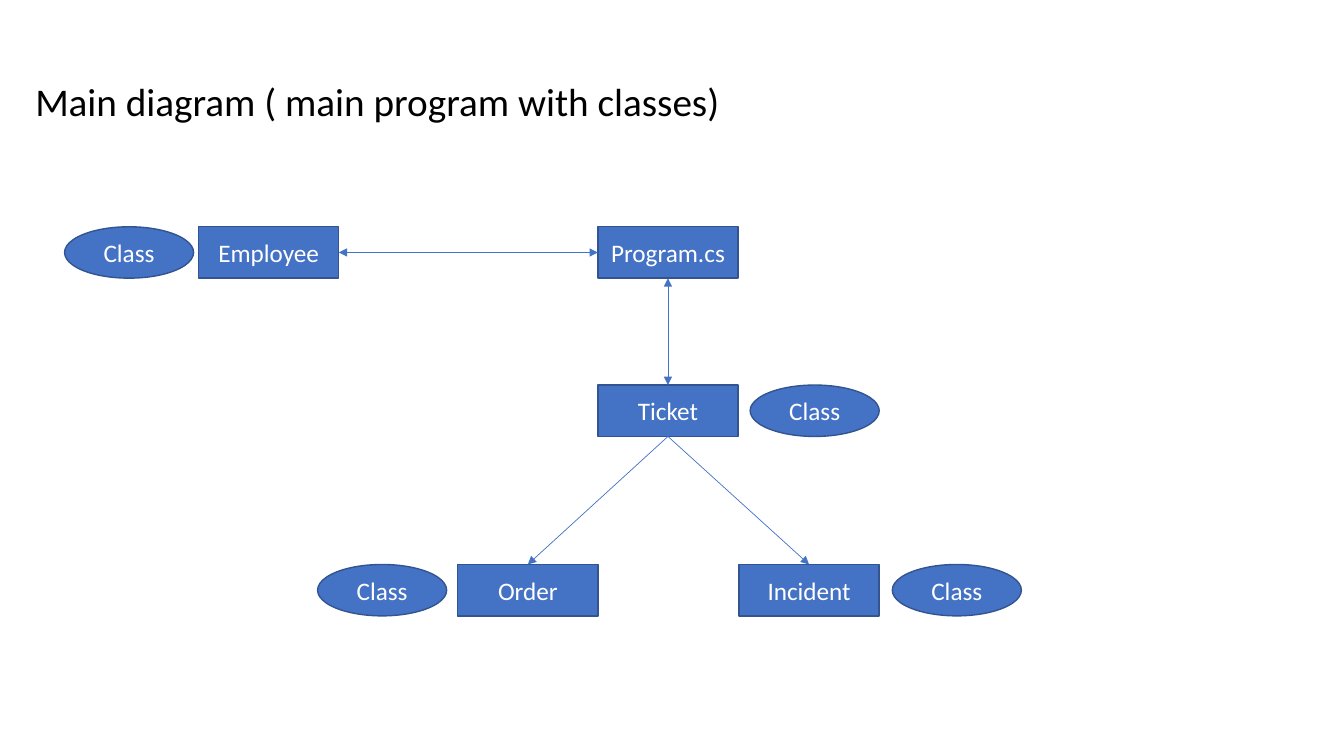
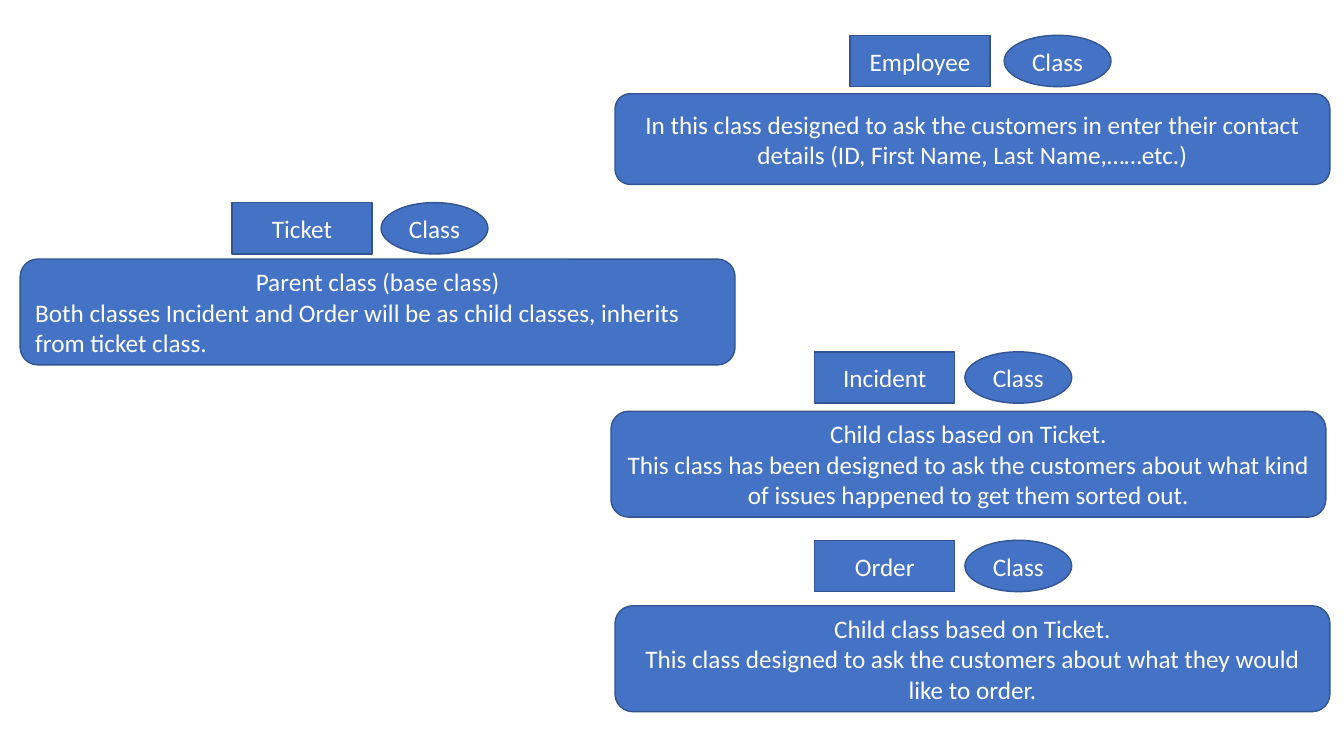
from dataclasses import dataclass

from lxml import etree
from pptx import Presentation
from pptx.dml.color import RGBColor
from pptx.enum.shapes import MSO_CONNECTOR, MSO_SHAPE
from pptx.enum.text import MSO_ANCHOR, PP_ALIGN
from pptx.oxml.ns import qn
from pptx.shapes.autoshape import Shape
from pptx.slide import Slide
from pptx.util import Inches, Pt

RECTANGLE = MSO_SHAPE.RECTANGLE
OVAL = MSO_SHAPE.OVAL
ROUNDED = MSO_SHAPE.ROUNDED_RECTANGLE
STRAIGHT = MSO_CONNECTOR.STRAIGHT
LEFT, CENTER = PP_ALIGN.LEFT, PP_ALIGN.CENTER
MIDDLE = MSO_ANCHOR.MIDDLE

COLORS = {"fill": "4472C4", "outline": "325491", "text": "FFFFFF", "title": "000000"}
FONT = "Calibri"
TITLE_ONLY_LAYOUT, BLANK_LAYOUT = 5, 6
TOP_SIDE, LEFT_SIDE, BOTTOM_SIDE, RIGHT_SIDE = range(4)

BOX_WIDTH, LABEL_HEIGHT = 1.39, 0.51
DIAGRAM_TAG_WIDTH, DETAIL_TAG_WIDTH = 1.28, 1.06
PANEL_WIDTH = 7.09


@dataclass(frozen=True)
class ClassBox:
    """A named box, with the left edge of its "Class" tag if it has one."""
    name: str
    left: float
    top: float
    tag_left: float | None = None


@dataclass(frozen=True)
class Link:
    start: str
    start_side: int
    end: str
    end_side: int
    two_way: bool = False


@dataclass(frozen=True)
class Panel:
    left: float
    top: float
    height: float
    lines: tuple[str, ...]
    last_alignment: PP_ALIGN = CENTER


DIAGRAM_BOXES = (
    ClassBox("Employee", 1.97, 2.25, 0.64),
    ClassBox("Program.cs", 5.93, 2.25),
    ClassBox("Ticket", 5.93, 3.82, 7.44),
    ClassBox("Order", 4.54, 5.6, 3.15),
    ClassBox("Incident", 7.33, 5.6, 8.85),
)

DIAGRAM_LINKS = (
    Link("Program.cs", LEFT_SIDE, "Employee", RIGHT_SIDE, two_way=True),
    Link("Program.cs", BOTTOM_SIDE, "Ticket", TOP_SIDE, two_way=True),
    Link("Ticket", BOTTOM_SIDE, "Order", TOP_SIDE),
    Link("Ticket", BOTTOM_SIDE, "Incident", TOP_SIDE),
)

DETAIL_BOXES = (
    ClassBox("Employee", 8.43, 0.35, 9.96),
    ClassBox("Ticket", 2.3, 2.01, 3.78),
    ClassBox("Incident", 8.08, 3.49, 9.57),
    ClassBox("Order", 8.08, 5.36, 9.57),
)

DETAIL_PANELS = (
    Panel(6.1, 0.93, 0.9, (
        "In this class designed to ask the customers in enter their contact "
        "details (ID, First Name, Last Name,……etc.)",
    )),
    Panel(0.2, 2.57, 1.05, (
        "Parent class (base class)",
        "Both classes Incident and Order will be as child classes, inherits "
        "from ticket class.",
    ), LEFT),
    Panel(6.06, 4.08, 1.05, (
        "Child class based on Ticket.",
        "This class has been designed to ask the customers about what kind "
        "of issues happened to get them sorted out.",
    )),
    Panel(6.1, 6.01, 1.05, (
        "Child class based on Ticket.",
        "This class designed to ask the customers about what they would "
        "like to order.",
    )),
)


def color(name: str) -> RGBColor:
    return RGBColor.from_string(COLORS[name])


def add_title(slide: Slide, text: str) -> None:
    title = slide.shapes.title
    title.left, title.top = Inches(0.25), Inches(0.68)
    title.width, title.height = Inches(12.77), Inches(0.7)
    title.text_frame.text = text
    title.text_frame.vertical_anchor = MIDDLE
    paragraph = title.text_frame.paragraphs[0]
    paragraph.alignment = LEFT
    paragraph.line_spacing = 0.9
    paragraph.font.name, paragraph.font.size = FONT, Pt(28)
    paragraph.font.color.rgb = color("title")


def add_block(slide: Slide, kind: MSO_SHAPE, left: float, top: float,
              width: float, height: float, lines: tuple[str, ...]) -> Shape:
    """Add a filled shape with one centred paragraph for each line."""
    shape = slide.shapes.add_shape(
        kind, Inches(left), Inches(top), Inches(width), Inches(height))
    shape.shadow.inherit = False
    shape.fill.solid()
    shape.fill.fore_color.rgb = color("fill")
    shape.line.color.rgb = color("outline")
    shape.line.width = Pt(1)
    frame = shape.text_frame
    frame.word_wrap = True
    frame.vertical_anchor = MIDDLE
    frame.text = "\n".join(lines)
    for paragraph in frame.paragraphs:
        paragraph.alignment = CENTER
        paragraph.font.name, paragraph.font.size = FONT, Pt(18)
        paragraph.font.color.rgb = color("text")
    return shape


def add_class_boxes(slide: Slide, boxes: tuple[ClassBox, ...],
                    tag_width: float) -> dict[str, Shape]:
    shapes = {}
    for box in boxes:
        shapes[box.name] = add_block(
            slide, RECTANGLE, box.left, box.top, BOX_WIDTH, LABEL_HEIGHT, (box.name,))
        if box.tag_left is not None:
            add_block(slide, OVAL, box.tag_left, box.top, tag_width, LABEL_HEIGHT, ("Class",))
    return shapes


def add_link(slide: Slide, link: Link, shapes: dict[str, Shape]) -> None:
    connector = slide.shapes.add_connector(STRAIGHT, 0, 0, 0, 0)
    connector.begin_connect(shapes[link.start], link.start_side)
    connector.end_connect(shapes[link.end], link.end_side)
    connector.line.color.rgb = color("fill")
    connector.line.width = Pt(0.5)
    # Arrowheads and no shadow
    properties = connector.element.spPr
    line = properties.find(qn("a:ln"))
    for end in ("a:headEnd", "a:tailEnd") if link.two_way else ("a:tailEnd",):
        etree.SubElement(line, qn(end), type="triangle")
    etree.SubElement(properties, qn("a:effectLst"))


def add_panel(slide: Slide, panel: Panel) -> None:
    shape = add_block(slide, ROUNDED, panel.left, panel.top,
                      PANEL_WIDTH, panel.height, panel.lines)
    shape.text_frame.paragraphs[-1].alignment = panel.last_alignment


def main() -> None:
    presentation = Presentation()
    presentation.slide_width, presentation.slide_height = Inches(13.33), Inches(7.5)
    layouts = presentation.slide_layouts

    # Class diagram
    diagram = presentation.slides.add_slide(layouts[TITLE_ONLY_LAYOUT])
    add_title(diagram, "Main diagram ( main program with classes)")
    shapes = add_class_boxes(diagram, DIAGRAM_BOXES, DIAGRAM_TAG_WIDTH)
    for link in DIAGRAM_LINKS:
        add_link(diagram, link, shapes)

    # Class descriptions
    details = presentation.slides.add_slide(layouts[BLANK_LAYOUT])
    add_class_boxes(details, DETAIL_BOXES, DETAIL_TAG_WIDTH)
    for panel in DETAIL_PANELS:
        add_panel(details, panel)

    presentation.save("out.pptx")


if __name__ == "__main__":
    main()
